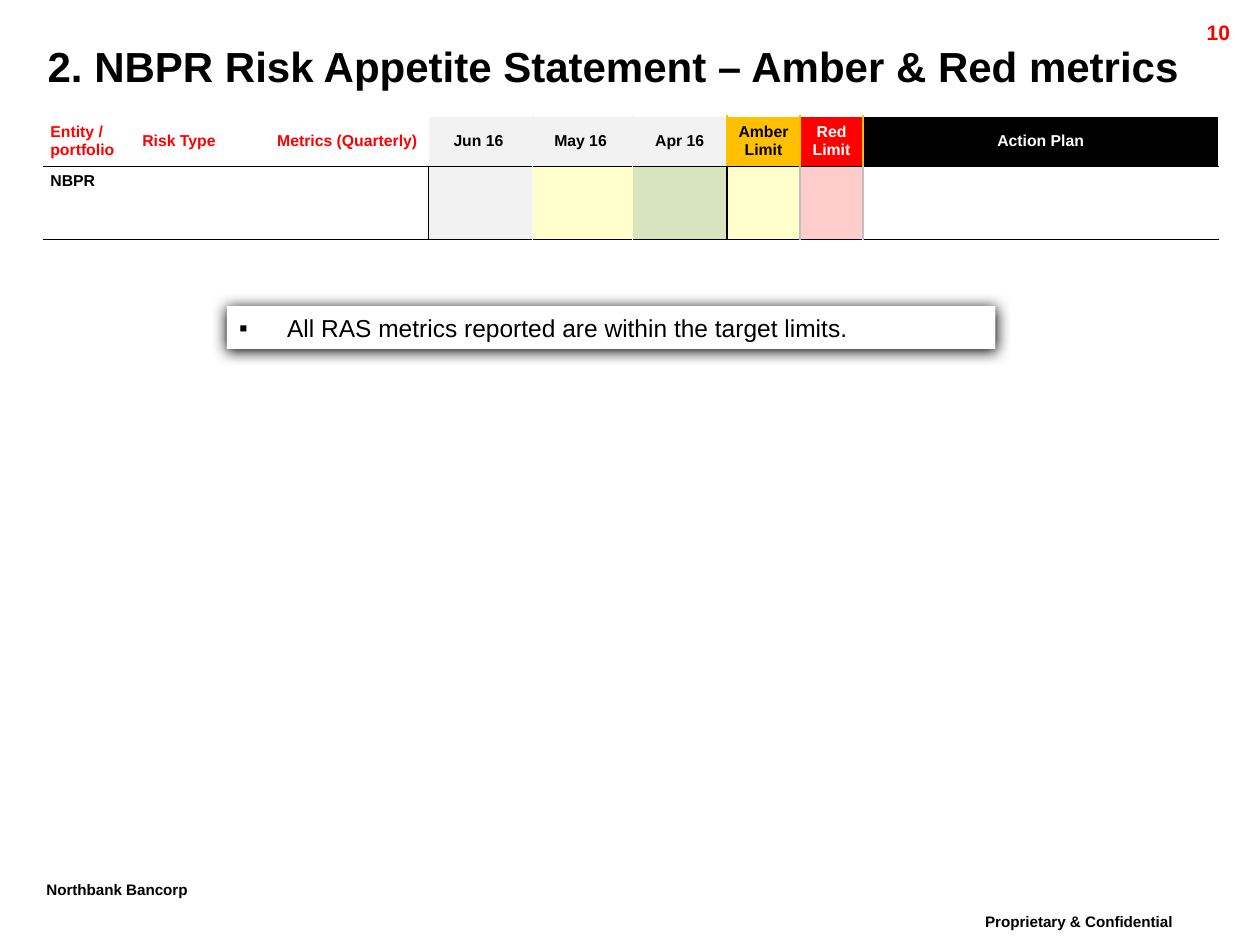
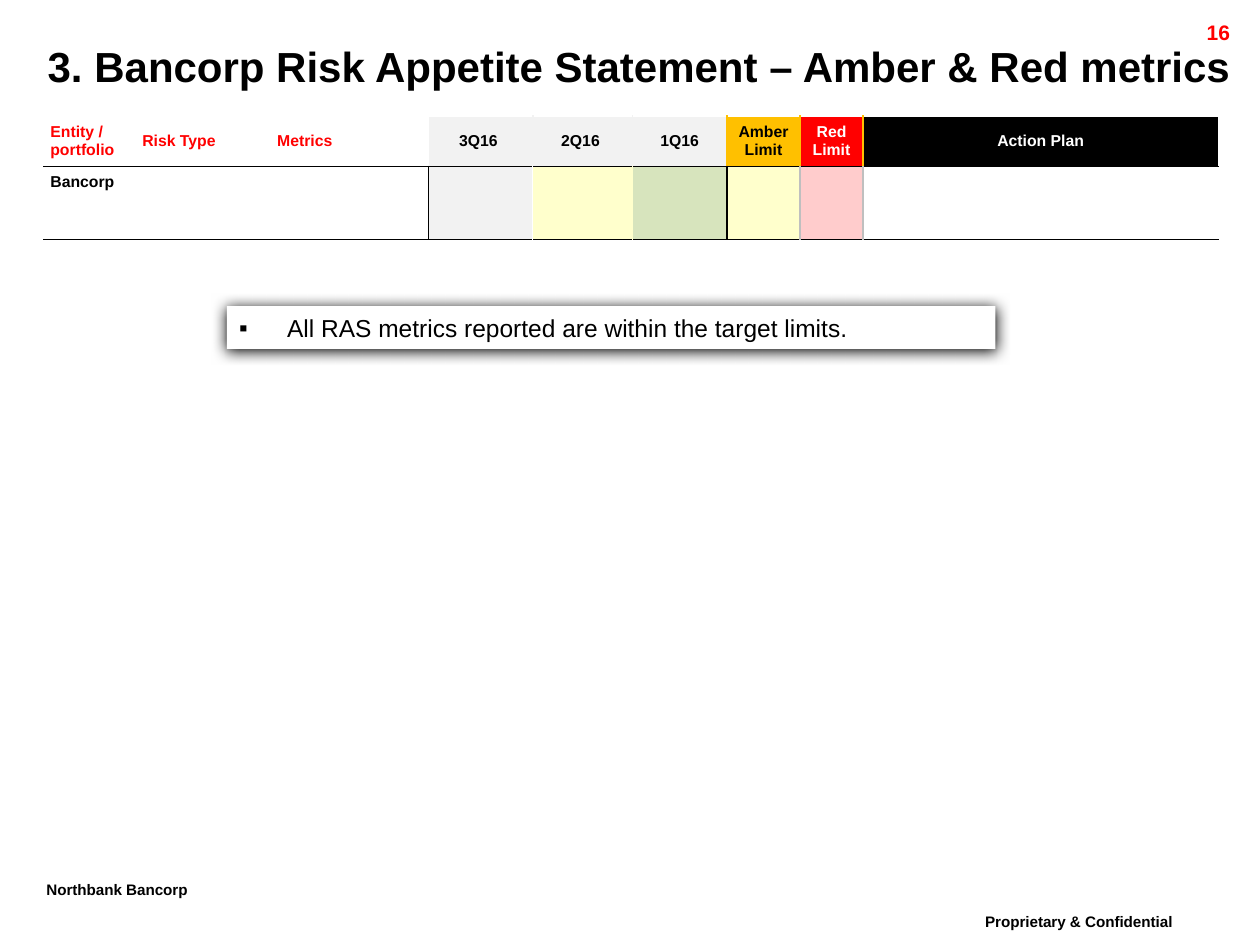
from lxml.etree import SubElement
from pptx import Presentation
from pptx.dml.color import RGBColor
from pptx.enum.shapes import MSO_SHAPE
from pptx.enum.text import MSO_ANCHOR, MSO_AUTO_SIZE, PP_ALIGN
from pptx.oxml.ns import qn
from pptx.util import Inches, Pt

FONT = "Arial"
BLACK = RGBColor(0x00, 0x00, 0x00)
WHITE = RGBColor(0xFF, 0xFF, 0xFF)
RED = RGBColor(0xFF, 0x00, 0x00)
AMBER = RGBColor(0xFF, 0xC0, 0x00)
LIGHT_GREY = RGBColor(0xF2, 0xF2, 0xF2)
MID_GREY = RGBColor(0xBF, 0xBF, 0xBF)
PALE_YELLOW = RGBColor(0xFF, 0xFF, 0xCC)
PALE_GREEN = RGBColor(0xD7, 0xE4, 0xBD)
PALE_RED = RGBColor(0xFF, 0xCC, 0xCC)

COLUMN_WIDTHS = [0.73, 1.07, 1.25, 0.83, 0.79, 0.75, 0.58, 0.5, 2.82]
ROW_HEIGHTS = [0.37, 0.4, 0.58]
HEADER_FILLS = [None] * 3 + [LIGHT_GREY] * 3 + [AMBER, RED, BLACK]
HEADER_COLORS = [RED] * 3 + [BLACK] * 4 + [WHITE] * 2
BODY_FILLS = [None] * 3 + [LIGHT_GREY, PALE_YELLOW, PALE_GREEN,
                           PALE_YELLOW, PALE_RED, None]

# Cell edges as (colour, points): one more edge than there are cells.
ROW_EDGES = [(WHITE, 1), (WHITE, 1), (BLACK, 1), (BLACK, 1)]
TOP_EDGES = [(WHITE, 1)] * 10
HEADER_EDGES = ([(WHITE, 1)] * 4 + [(LIGHT_GREY, 1)] * 2
                + [(AMBER, 1)] * 3 + [(WHITE, 1)])
BODY_EDGES = [(WHITE, 1)] * 3 + [
    (BLACK, 1), (WHITE, 0.75), (PALE_YELLOW, 1), (BLACK, 1),
    (MID_GREY, 0.75), (MID_GREY, 0.75), (WHITE, 1)]


def write(frame, text, *, size, color=BLACK, bold=True, align=PP_ALIGN.LEFT,
          baseline=None):
    para = frame.paragraphs[0]
    para.alignment = align
    span = para.add_run()
    span.text = text
    span.font.name = FONT
    span.font.size = Pt(size)
    span.font.bold = bold
    span.font.color.rgb = color
    if baseline:
        span._r.get_or_add_rPr().set("baseline", str(baseline * 1000))
    return para


def add_text(page, text, left, top, width, height, *, wrap=True, **style):
    box = page.shapes.add_textbox(Inches(left), Inches(top),
                                  Inches(width), Inches(height))
    box.text_frame.word_wrap = wrap
    write(box.text_frame, text, **style)


def add_frame(page, title, number):
    """Add the title, page number and footers that every slide has."""
    add_text(page, "Proprietary & Confidential", 7.72, 7.17, 2.18, 0.35,
             size=15, baseline=30)
    add_text(page, "Northbank Bancorp", 0.27, 6.91, 1.49, 0.35,
             size=15, baseline=30, wrap=False)
    add_text(page, title, 0.28, 0.27, 9.72, 0.5, size=24)
    add_text(page, number, 8.91, 0.11, 0.95, 0.24, size=12, color=RED,
             align=PP_ALIGN.RIGHT)


def set_borders(cell, **edges):
    properties = cell._tc.get_or_add_tcPr()
    for side, (color, points) in edges.items():
        line = SubElement(properties, qn(f"a:ln{side}"), w=str(Pt(points)))
        fill = SubElement(line, qn("a:solidFill"))
        SubElement(fill, qn("a:srgbClr"), val=str(color))


def style_row(table, row, fills, edges):
    for column, fill in enumerate(fills):
        cell = table.cell(row, column)
        cell.margin_left = cell.margin_right = Inches(0.05)
        cell.margin_top = cell.margin_bottom = Inches(0.05)
        set_borders(cell, L=edges[column], R=edges[column + 1],
                    T=ROW_EDGES[row], B=ROW_EDGES[row + 1])
        if fill is None:
            cell.fill.background()
        else:
            cell.fill.solid()
            cell.fill.fore_color.rgb = fill


def add_metrics_table(page, metrics, periods, entity):
    table = page.shapes.add_table(
        len(ROW_HEIGHTS), len(COLUMN_WIDTHS), Inches(0.35), Inches(0.55),
        Inches(sum(COLUMN_WIDTHS)), Inches(sum(ROW_HEIGHTS))).table
    table.first_row = table.horz_banding = False
    for column, width in zip(table.columns, COLUMN_WIDTHS):
        column.width = Inches(width)
    for row, height in zip(table.rows, ROW_HEIGHTS):
        row.height = Inches(height)

    style_row(table, 0, [None] * len(COLUMN_WIDTHS), TOP_EDGES)
    style_row(table, 1, HEADER_FILLS, HEADER_EDGES)
    style_row(table, 2, BODY_FILLS, BODY_EDGES)
    table.cell(0, 0).merge(table.cell(0, 7))

    headings = ["Entity / portfolio", "Risk Type", metrics, *periods,
                "Amber Limit", "Red Limit", "Action Plan"]
    for column, heading in enumerate(headings):
        cell = table.cell(1, column)
        cell.vertical_anchor = MSO_ANCHOR.MIDDLE
        write(cell.text_frame, heading, size=9, color=HEADER_COLORS[column],
              align=PP_ALIGN.LEFT if column < 3 else PP_ALIGN.CENTER)
    write(table.cell(2, 0).text_frame, entity, size=9)

    # Small end marks keep the empty cells from stretching their rows.
    for cell in table.iter_cells():
        if not cell.text:
            SubElement(cell.text_frame.paragraphs[0]._p,
                       qn("a:endParaRPr"), sz="900")


def add_shadow(shape):
    shape.shadow.inherit = False
    effects = shape._element.spPr.find(qn("a:effectLst"))
    shadow = SubElement(effects, qn("a:outerShdw"), blurRad=str(Pt(8.5)),
                        dist=str(Pt(1)), dir="5400000", rotWithShape="0")
    SubElement(shadow, qn("a:srgbClr"), val=str(BLACK))


def add_message(page, text):
    """Add the white bulleted callout with its soft shadow."""
    box = page.shapes.add_shape(MSO_SHAPE.RECTANGLE, Inches(1.8), Inches(2.43),
                                Inches(6.1), Inches(0.34))
    box.fill.solid()
    box.fill.fore_color.rgb = WHITE
    box.line.fill.background()
    add_shadow(box)
    box.text_frame.word_wrap = True
    box.text_frame.auto_size = MSO_AUTO_SIZE.SHAPE_TO_FIT_TEXT
    para = write(box.text_frame, text, size=14, bold=False)
    properties = para._p.get_or_add_pPr()
    properties.set("marL", str(Inches(0.38)))
    properties.set("indent", str(-Inches(0.38)))
    SubElement(properties, qn("a:buFont"), typeface=FONT)
    SubElement(properties, qn("a:buChar"), char="▪")


def add_appetite_slide(deck, number, title, metrics, periods, entity):
    page = deck.slides.add_slide(deck.slide_layouts[6])
    add_metrics_table(page, metrics, periods, entity)
    add_frame(page, title, number)
    add_message(page, "All RAS metrics reported are within the target limits.")


def main():
    deck = Presentation()
    deck.slide_width = Inches(10)
    deck.slide_height = Inches(7.5)
    add_appetite_slide(
        deck, "10", "2. NBPR Risk Appetite Statement – Amber & Red metrics",
        "Metrics (Quarterly)", ["Jun 16 ", "May 16 ", "Apr 16"], "NBPR")
    add_appetite_slide(
        deck, "16", "3. Bancorp Risk Appetite Statement – Amber & Red metrics",
        "Metrics", ["3Q16 ", "2Q16 ", "1Q16"], "Bancorp")
    deck.save("out.pptx")


if __name__ == "__main__":
    main()
